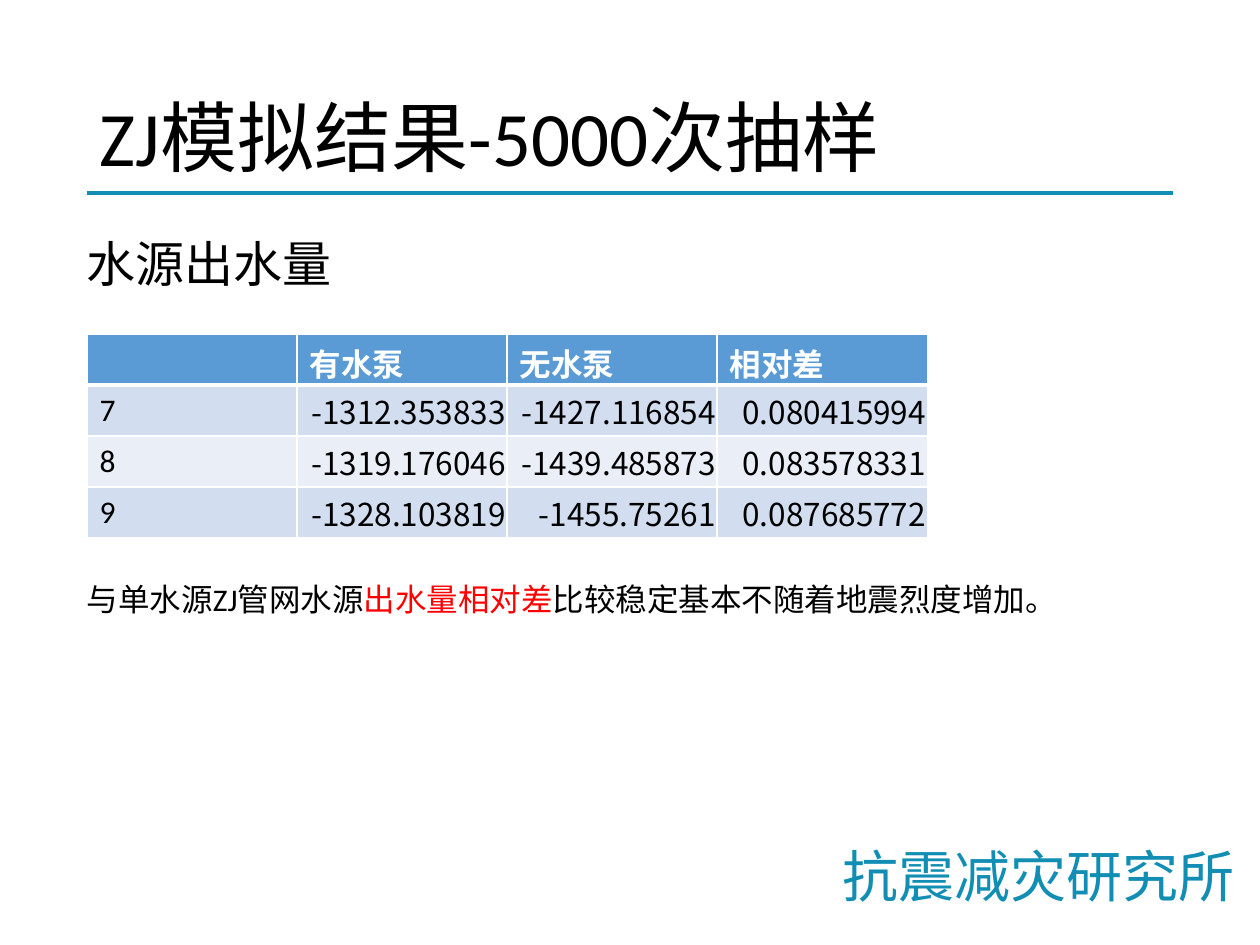
from lxml import etree
from pptx import Presentation
from pptx.dml.color import RGBColor
from pptx.enum.shapes import MSO_CONNECTOR
from pptx.enum.text import MSO_ANCHOR, MSO_AUTO_SIZE, PP_ALIGN
from pptx.oxml.ns import qn
from pptx.util import Inches, Pt

STRAIGHT = MSO_CONNECTOR.STRAIGHT
MIDDLE = MSO_ANCHOR.MIDDLE
LEFT, RIGHT = PP_ALIGN.LEFT, PP_ALIGN.RIGHT
NO_FIT, GROW = MSO_AUTO_SIZE.NONE, MSO_AUTO_SIZE.SHAPE_TO_FIT_TEXT

LATIN, CJK = "Calibri", "Noto Sans CJK SC"
COLORS = {
    "teal": "128EB4", "black": "000000", "white": "FFFFFF", "red": "FF0000",
    "header": "5B9BD5", "odd": "D2DEEF", "even": "EAEFF7",
}
MARGIN = 0.69

FLOW_ROWS = [
    ("", "有水泵", "无水泵", "相对差"),
    ("7", "-1312.353833", "-1427.116854", "0.080415994"),
    ("8", "-1319.176046", "-1439.485873", "0.083578331"),
    ("9", "-1328.103819", "-1455.75261", "0.087685772"),
]


def rgb(name):
    return RGBColor.from_string(COLORS[name])


def style(paragraph, size, color="black", latin=LATIN, bold=False):
    font = paragraph.font
    font.size, font.name, font.bold = Pt(size), latin, bold
    font.color.rgb = rgb(color)
    defaults = paragraph._p.pPr.find(qn("a:defRPr"))
    etree.SubElement(defaults, qn("a:ea"), typeface=CJK)


def set_margins(target, left, top, right, bottom):
    target.margin_left, target.margin_top = Inches(left), Inches(top)
    target.margin_right, target.margin_bottom = Inches(right), Inches(bottom)


def add_title(slide, text):
    title = slide.shapes.title
    title.left, title.top = Inches(MARGIN), Inches(0.4)
    title.width, title.height = Inches(8.62), Inches(1.45)
    frame = title.text_frame
    frame.text = text
    frame.auto_size, frame.vertical_anchor = NO_FIT, MIDDLE
    paragraph = frame.paragraphs[0]
    paragraph.alignment, paragraph.line_spacing = LEFT, 0.9
    style(paragraph, 44)


def add_rule(slide, left, right, y):
    rule = slide.shapes.add_connector(
        STRAIGHT, Inches(left), Inches(y), Inches(right), Inches(y))
    rule.line.color.rgb = rgb("teal")
    rule.line.width = Pt(2.25)
    etree.SubElement(rule._element.spPr, qn("a:effectLst"))


def add_text(slide, box, runs, size, color="black", latin=LATIN, wrap=False):
    """Add one line of text; runs are (text, own colour or None) pairs."""
    frame = slide.shapes.add_textbox(*map(Inches, box)).text_frame
    set_margins(frame, 0, 0, 0, 0)
    frame.word_wrap, frame.auto_size = wrap, GROW
    paragraph = frame.paragraphs[0]
    style(paragraph, size, color, latin)
    for text, run_color in runs:
        run = paragraph.add_run()
        run.text = text
        if run_color:
            run.font.color.rgb = rgb(run_color)


def set_borders(cell, bottom_width):
    properties = cell._tc.get_or_add_tcPr()
    widths = {"a:lnL": 1, "a:lnR": 1, "a:lnT": 1, "a:lnB": bottom_width}
    for position, (tag, width) in enumerate(widths.items()):
        line = etree.Element(qn(tag), w=str(Pt(width)))
        fill = etree.SubElement(line, qn("a:solidFill"))
        etree.SubElement(fill, qn("a:srgbClr"), val=COLORS["white"])
        properties.insert(position, line)


def fill_cell(cell, text, row, column):
    header = row == 0
    band = "header" if header else "odd" if row % 2 else "even"
    cell.fill.solid()
    cell.fill.fore_color.rgb = rgb(band)
    set_borders(cell, 3 if header else 1)
    cell.text = text
    paragraph = cell.text_frame.paragraphs[0]
    number = not header and column > 0
    if number:
        paragraph.alignment = RIGHT
        cell.vertical_anchor = MIDDLE
        set_margins(cell, 0.01, 0.01, 0.01, 0)
    style(paragraph, 18, "white" if header else "black",
          CJK if number else LATIN, header)


def add_flow_table(slide):
    table = slide.shapes.add_table(
        len(FLOW_ROWS), len(FLOW_ROWS[0]), Inches(MARGIN), Inches(2.65),
        Inches(6.67), Inches(1.62)).table
    for row, values in enumerate(FLOW_ROWS):
        for column, text in enumerate(values):
            fill_cell(table.cell(row, column), text, row, column)


def main():
    presentation = Presentation()
    presentation.slide_width = Inches(10)
    presentation.slide_height = Inches(7.5)
    slide = presentation.slides.add_slide(presentation.slide_layouts[5])

    # Heading and institute name
    add_rule(slide, MARGIN, 9.31, 1.53)
    add_text(slide, (6.69, 6.68, 3.14, 0.54), [("抗震减灾研究所", None)],
             32, "teal", CJK)
    add_title(slide, "ZJ模拟结果-5000次抽样")

    # Water source output and conclusion
    add_text(slide, (MARGIN, 1.85, 1.96, 0.47), [("水源出水量", None)], 28)
    add_flow_table(slide)
    add_text(slide, (MARGIN, 4.6, 8.81, 0.3), [
        ("与单水源ZJ管网水源", None),
        ("出水量相对差", "red"),
        ("比较稳定基本不随着地震烈度增加。", None),
    ], 18, wrap=True)

    presentation.save("out.pptx")


if __name__ == "__main__":
    main()
